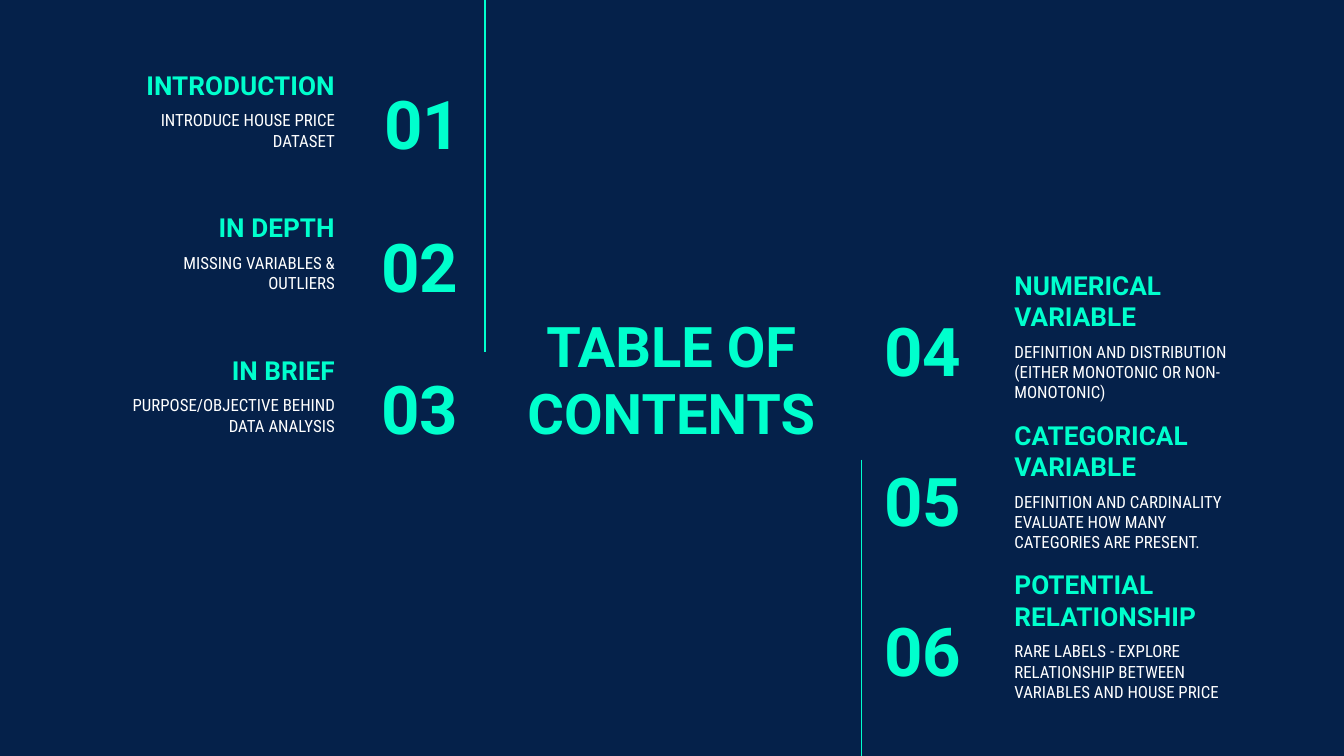
from dataclasses import dataclass

from pptx import Presentation
from pptx.dml.color import RGBColor
from pptx.enum.shapes import MSO_CONNECTOR
from pptx.enum.text import MSO_ANCHOR as Anchor, MSO_AUTO_SIZE, PP_ALIGN as Align
from pptx.oxml.ns import qn
from pptx.util import Inches, Pt
from lxml.etree import SubElement

COLORS = {"background": "05214A", "accent": "00FFCD", "body": "FFFFFF"}
SLIDE_WIDTH = 10
SLIDE_HEIGHT = SLIDE_WIDTH * 9 / 16
BOX_HEIGHT = 0.63
BODY_OFFSET = 0.5


@dataclass(frozen=True)
class TextStyle:
    size: int
    font: str
    color: str
    bold: bool
    anchor: Anchor


@dataclass(frozen=True)
class Entry:
    heading: str
    body: str
    number_left: float


@dataclass(frozen=True)
class Column:
    first_top: float
    last_top: float
    heading_left: float
    body_left: float
    number_width: float
    number_offset: float
    align: Align
    first_number: int
    entries: tuple[Entry, ...]


@dataclass(frozen=True)
class Rule:
    left: float
    top: float
    bottom: float


TITLE = TextStyle(30, "Roboto", "accent", True, Anchor.MIDDLE)
NUMBER = TextStyle(36, "Roboto", "accent", True, Anchor.MIDDLE)
HEADING = TextStyle(14, "Roboto", "accent", True, Anchor.BOTTOM)
BODY = TextStyle(9, "Roboto Condensed", "body", False, Anchor.TOP)

COLUMNS = (
    Column(0.22, 2.34, 0.43, 0.76, 1.21, 0.38, Align.RIGHT, 1, (
        Entry("INTRODUCTION", "INTRODUCE HOUSE PRICE DATASET", 2.32),
        Entry("IN DEPTH", "MISSING VARIABLES & OUTLIERS", 2.3),
        Entry("IN BRIEF", "PURPOSE/OBJECTIVE BEHIND DATA ANALYSIS", 2.3),
    )),
    Column(1.94, 4.17, 7.45, 7.45, 1.17, 0.35, Align.LEFT, 4, (
        Entry("NUMERICAL VARIABLE",
              "DEFINITION AND DISTRIBUTION (EITHER MONOTONIC OR NON-MONOTONIC)",
              6.48),
        Entry("CATEGORICAL VARIABLE",
              "DEFINITION AND CARDINALITY EVALUATE HOW MANY CATEGORIES ARE PRESENT.",
              6.48),
        Entry("POTENTIAL RELATIONSHIP",
              "RARE LABELS - EXPLORE RELATIONSHIP BETWEEN VARIABLES AND HOUSE PRICE",
              6.48),
    )),
)
RULES = (Rule(3.61, 0, 2.62), Rule(6.41, 3.42, SLIDE_HEIGHT))


def rgb(name: str) -> RGBColor:
    return RGBColor.from_string(COLORS[name])


def write_text(shape, text: str, style: TextStyle, align: Align) -> None:
    frame = shape.text_frame
    frame.word_wrap = True
    frame.auto_size = MSO_AUTO_SIZE.NONE
    frame.vertical_anchor = style.anchor
    frame.margin_left = frame.margin_right = Inches(0.1)
    frame.margin_top = frame.margin_bottom = Inches(0.1)
    paragraph = frame.paragraphs[0]
    paragraph.alignment = align
    run = paragraph.add_run()
    run.text = text
    run.font.size = Pt(style.size)
    run.font.name = style.font
    run.font.bold = style.bold
    run.font.color.rgb = rgb(style.color)


def add_text(slide, left: float, top: float, width: float,
             text: str, style: TextStyle, align: Align) -> None:
    shape = slide.shapes.add_textbox(
        Inches(left), Inches(top), Inches(width), Inches(BOX_HEIGHT))
    write_text(shape, text, style, align)


def draw_column(slide, column: Column) -> None:
    pitch = (column.last_top - column.first_top) / (len(column.entries) - 1)
    for row, entry in enumerate(column.entries):
        top = column.first_top + row * pitch
        add_text(slide, column.heading_left, top, 2.16,
                 entry.heading, HEADING, column.align)
        add_text(slide, column.body_left, top + BODY_OFFSET, 1.83,
                 entry.body, BODY, column.align)
        add_text(slide, entry.number_left, top + column.number_offset,
                 column.number_width, f"{column.first_number + row:02d}",
                 NUMBER, column.align)


def draw_rule(slide, rule: Rule) -> None:
    line = slide.shapes.add_connector(
        MSO_CONNECTOR.STRAIGHT, Inches(rule.left), Inches(rule.top),
        Inches(rule.left), Inches(rule.bottom))
    line.line.color.rgb = rgb("accent")
    line.line.width = Pt(0.75)
    SubElement(line._element.spPr, qn("a:effectLst"))


def main() -> None:
    presentation = Presentation()
    presentation.slide_width = Inches(SLIDE_WIDTH)
    presentation.slide_height = Inches(SLIDE_HEIGHT)
    slide = presentation.slides.add_slide(presentation.slide_layouts[5])
    slide.background.fill.solid()
    slide.background.fill.fore_color.rgb = rgb("background")

    # Central title
    title = slide.shapes.title
    title.left, title.top = Inches(3.7), Inches(2.3)
    title.width, title.height = Inches(2.59), Inches(1.03)
    write_text(title, "TABLE OF CONTENTS", TITLE, Align.CENTER)

    # Numbered entries on both sides
    for column in COLUMNS:
        draw_column(slide, column)

    # Vertical rules
    for rule in RULES:
        draw_rule(slide, rule)

    presentation.save("out.pptx")


if __name__ == "__main__":
    main()
